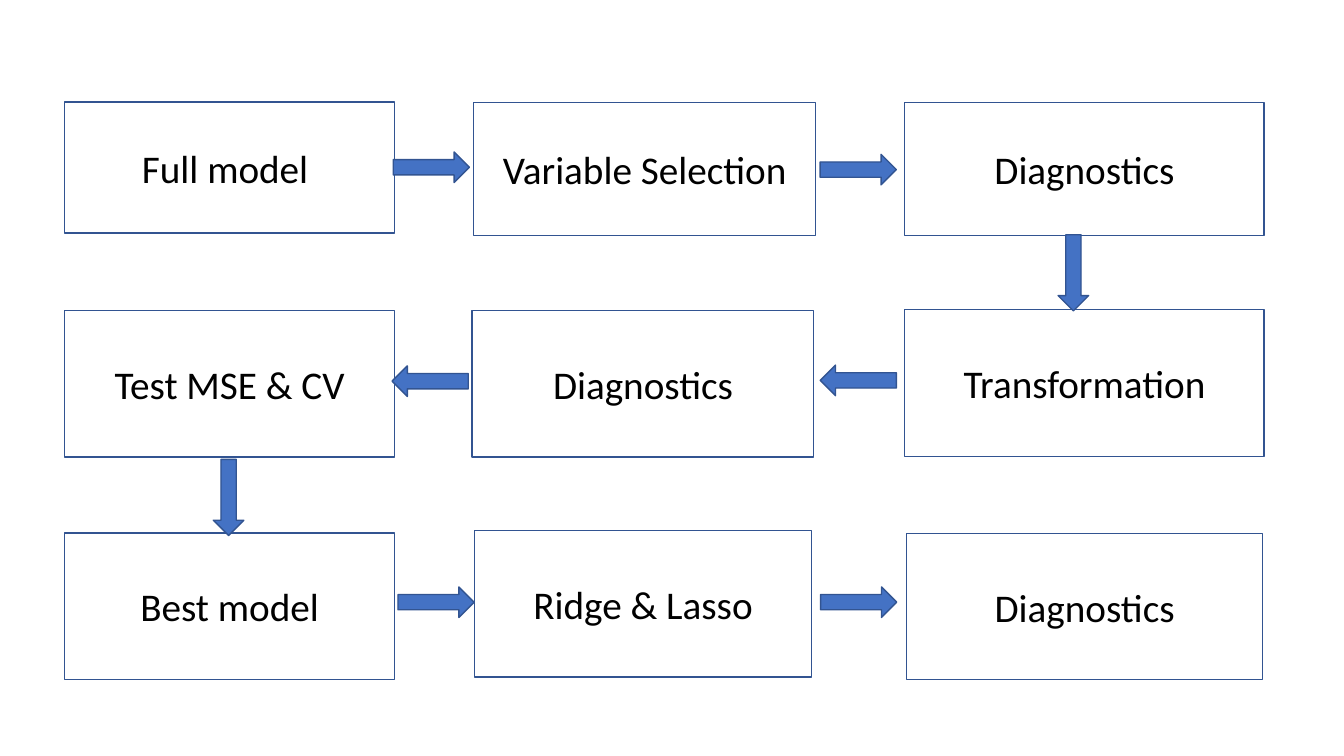
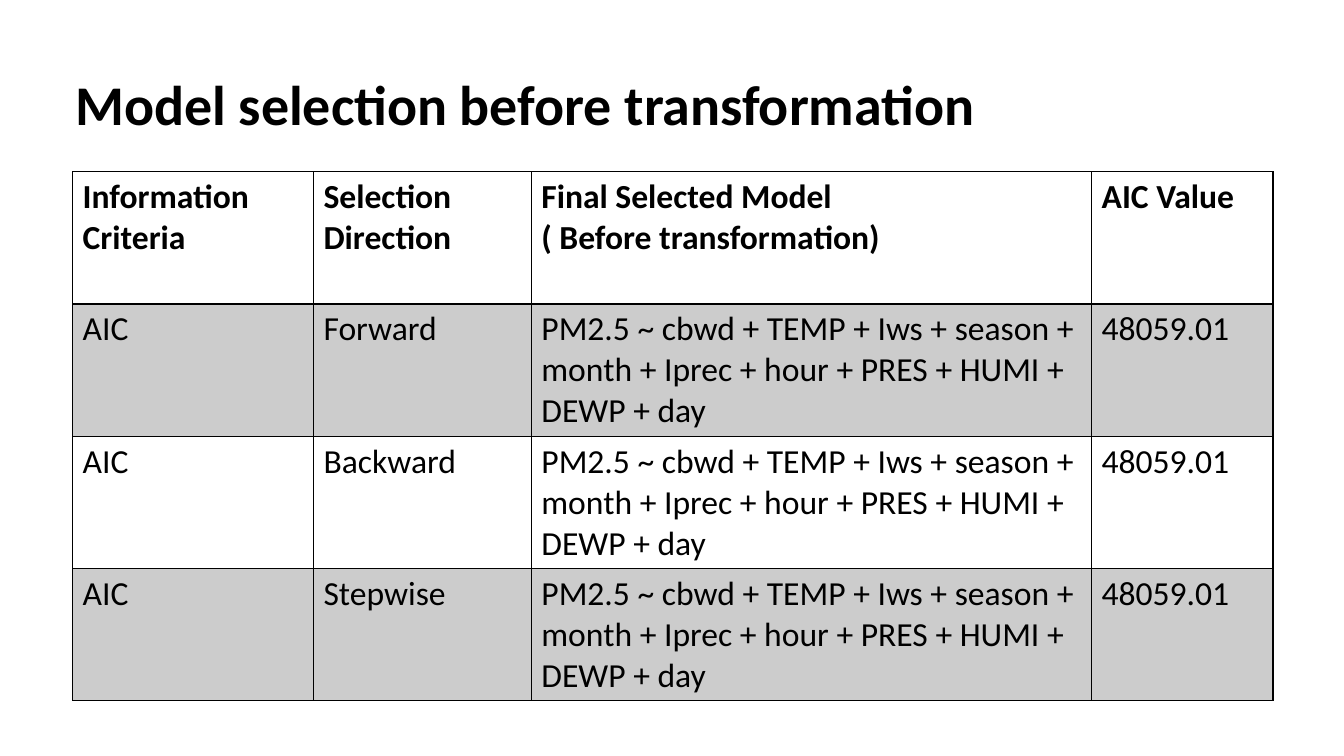
from lxml.etree import SubElement
from pptx import Presentation
from pptx.dml.color import RGBColor
from pptx.enum.shapes import MSO_SHAPE
from pptx.enum.text import MSO_ANCHOR, PP_ALIGN
from pptx.oxml.ns import qn
from pptx.util import Cm, Pt

FONT = "Calibri"
HUES = {
    "text": "000000",
    "paper": "FFFFFF",
    "edge": "325491",
    "arrow": "4472C4",
    "band": "CCCCCC",
}

# label, left, top, width, height in cm
STEPS = [
    ("Full model ", 1.63, 2.57, 8.31, 3.3),
    ("Variable Selection", 11.94, 2.58, 8.61, 3.36),
    ("Diagnostics", 22.8, 2.58, 9.06, 3.36),
    ("Transformation", 22.8, 7.8, 9.06, 3.7),
    ("Diagnostics", 11.9, 7.83, 8.61, 3.69),
    ("Test MSE & CV", 1.63, 7.83, 8.31, 3.69),
    ("Best model", 1.63, 13.43, 8.31, 3.69),
    ("Ridge & Lasso", 11.96, 13.37, 8.49, 3.69),
    ("Diagnostics", 22.85, 13.44, 8.97, 3.69),
]

# left, top in cm, then turn in degrees
ARROWS = [
    (9.91, 3.83, 0),
    (20.67, 3.89, 0),
    (26.09, 6.49, 90),
    (9.88, 9.22, 180),
    (20.67, 9.2, 180),
    (4.8, 12.15, 90),
    (10.03, 14.79, 0),
    (20.68, 14.79, 0),
]

MODEL = ("PM2.5 ~ cbwd + TEMP + Iws + season + month + Iprec + hour"
         " + PRES + HUMI + DEWP + day")
HEADS = ["Information Criteria", "Selection Direction",
         "Final Selected Model\n( Before transformation)", "AIC Value"]
WAYS = ["Forward", "Backward", "Stepwise"]
WIDTHS = [6.07, 5.49, 14.12, 4.57]
ROW = 3.33


def hue(name):
    return RGBColor.from_string(HUES[name])


def write(frame, text, size=24, bold=False, align=PP_ALIGN.LEFT, space=1.0):
    """Fill a text frame, one paragraph for each line of text."""
    frame.word_wrap = True
    frame.text = text
    for para in frame.paragraphs:
        para.alignment = align
        para.line_spacing = space
        for run in para.runs:
            font = run.font
            font.name, font.size, font.bold = FONT, Pt(size), bold
            font.color.rgb = hue("text")


def add_form(slide, kind, box, fill):
    form = slide.shapes.add_shape(kind, *map(Cm, box))
    form.shadow.inherit = False
    form.fill.solid()
    form.fill.fore_color.rgb = hue(fill)
    form.line.color.rgb = hue("edge")
    form.line.width = Pt(1)
    return form


def add_step(slide, label, *box):
    form = add_form(slide, MSO_SHAPE.RECTANGLE, box, "paper")
    form.text_frame.vertical_anchor = MSO_ANCHOR.MIDDLE
    write(form.text_frame, label, size=28, align=PP_ALIGN.CENTER)


def add_arrow(slide, left, top, turn):
    box = (left, top, 1.92, 0.77)
    add_form(slide, MSO_SHAPE.RIGHT_ARROW, box, "arrow").rotation = turn


def add_title(slide, text):
    box = slide.shapes.add_textbox(Cm(1.65), Cm(0.86), Cm(29.21), Cm(3.68))
    box.text_frame.vertical_anchor = MSO_ANCHOR.MIDDLE
    write(box.text_frame, text, size=40, bold=True, space=0.9)


def set_edges(cell, **sides):
    """Draw cell borders; each side is given its width in points."""
    props = cell._tc.get_or_add_tcPr()
    for side, width in sides.items():
        line = SubElement(props, qn(f"a:ln{side}"), w=str(Pt(width)))
        fill = SubElement(line, qn("a:solidFill"))
        SubElement(fill, qn("a:srgbClr"), val=HUES["text"])


def add_grid(slide, rows, left, top):
    size = (sum(WIDTHS), ROW * len(rows))
    grid = slide.shapes.add_table(len(rows), len(WIDTHS), Cm(left), Cm(top),
                                  *map(Cm, size)).table
    grid.first_row = grid.horz_banding = False
    for col, width in zip(grid.columns, WIDTHS):
        col.width = Cm(width)
    for r, texts in enumerate(rows):
        grid.rows[r].height = Cm(ROW)
        for c, text in enumerate(texts):
            cell = grid.cell(r, c)
            write(cell.text_frame, text, bold=r == 0)
            set_edges(cell, L=1, R=1, T=2 if r == 1 else 1,
                      B=2 if r == 0 else 1)
            cell.fill.solid()
            cell.fill.fore_color.rgb = hue("band" if r % 2 else "paper")


def main():
    deck = Presentation()
    deck.slide_width, deck.slide_height = Cm(33.87), Cm(19.05)
    blank = deck.slide_layouts[6]

    flow = deck.slides.add_slide(blank)
    for step in STEPS:
        add_step(flow, *step)
    for arrow in ARROWS:
        add_arrow(flow, *arrow)

    models = deck.slides.add_slide(blank)
    add_title(models, "Model selection before transformation")
    rows = [HEADS] + [["AIC", way, MODEL, "48059.01"] for way in WAYS]
    add_grid(models, rows, 1.83, 4.33)

    deck.save("out.pptx")


if __name__ == "__main__":
    main()
